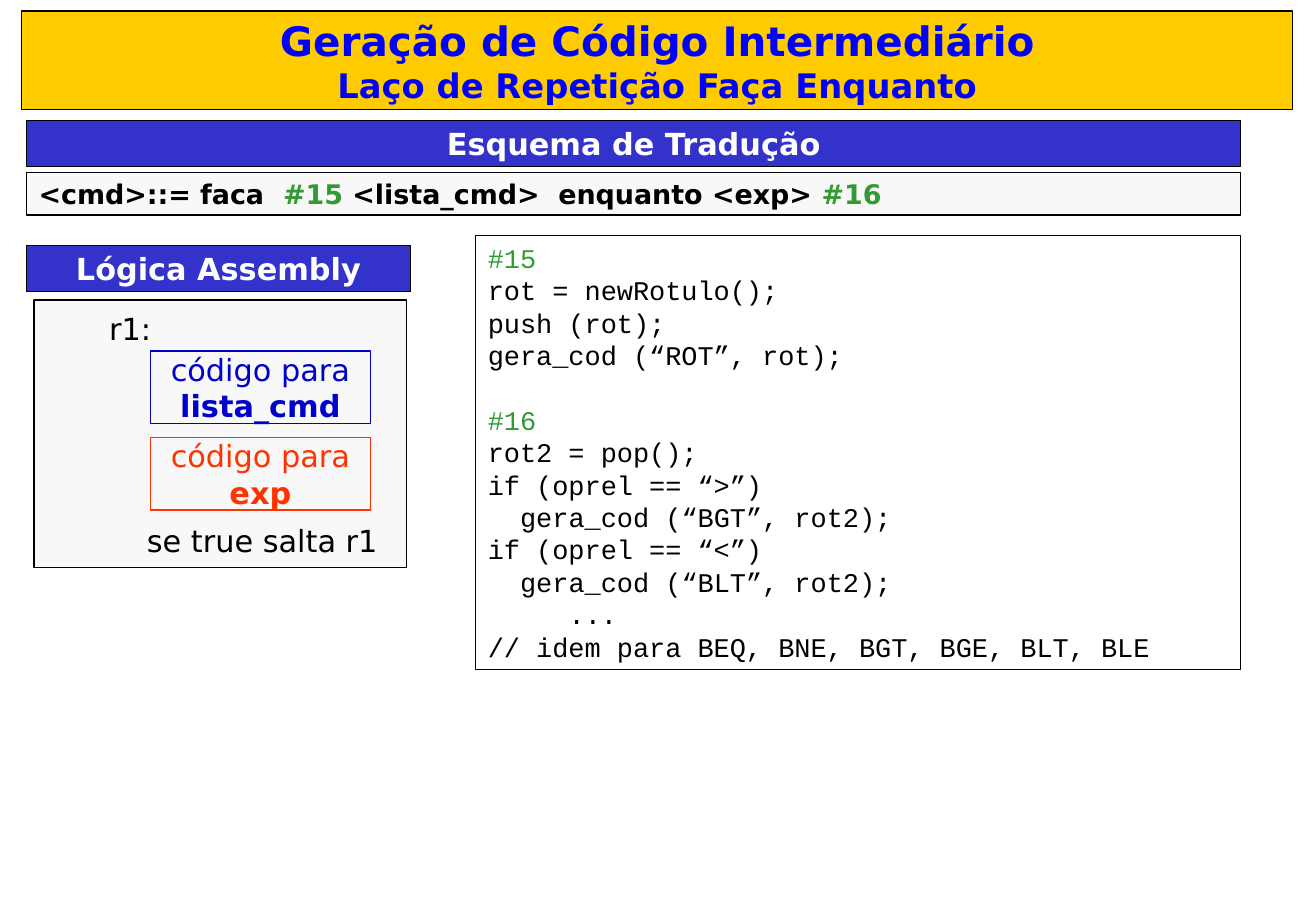
from pptx import Presentation
from pptx.dml.color import RGBColor
from pptx.enum import shapes, text
from pptx.util import Inches, Pt

BLACK = RGBColor(0, 0, 0)
WHITE = RGBColor(255, 255, 255)
GOLD = RGBColor(0xFF, 0xCC, 0)
TITLE = RGBColor(0, 0, 0xFF)
INDIGO = RGBColor(0x33, 0x33, 0xCC)
PALE = RGBColor(0xF8, 0xF8, 0xF8)
GREEN = RGBColor(0x33, 0x99, 0x33)
BLUE = RGBColor(0, 0, 0xCC)
RED = RGBColor(0xFF, 0x33, 0)
SANS, MONO = "DejaVu Sans", "Courier New"
CHAR = 9.6  # width in points of one 16 pt mono character
ROW = 19.2  # height in points of one code line

CODE = """#15
rot = newRotulo();
push (rot);
gera_cod (“ROT”, rot);
#16
rot2 = pop();
if (oprel == “>”)
  gera_cod (“BGT”, rot2);
if (oprel == “<”)
  gera_cod (“BLT”, rot2);
     ...
// idem para BEQ, BNE, BGT, BGE, BLT, BLE""".split("\n")


def setup(frame, pad):
    frame.word_wrap = True
    frame.vertical_anchor = text.MSO_ANCHOR.TOP
    frame.margin_left = frame.margin_right = Inches(pad[0])
    frame.margin_top = frame.margin_bottom = Inches(pad[1])


def panel(slide, box, fill=None, line=BLACK, pad=(0.1, 0.04)):
    rect = slide.shapes.add_shape(shapes.MSO_SHAPE.RECTANGLE, *map(Inches, box))
    rect.shadow.inherit = False
    if fill is None:
        rect.fill.background()
    else:
        rect.fill.solid()
        rect.fill.fore_color.rgb = fill
    rect.line.color.rgb = line
    rect.line.width = Pt(0.75)
    setup(rect.text_frame, pad)
    return rect.text_frame


def write(para, words, size, color, bold=False, face=SANS, center=True):
    para.text = words
    para.alignment = text.PP_ALIGN.CENTER if center else text.PP_ALIGN.LEFT
    font = para.font
    font.name, font.size, font.bold = face, Pt(size), bold
    font.color.rgb = color


def label(slide, box, words):
    frame = slide.shapes.add_textbox(*map(Inches, box)).text_frame
    setup(frame, (0.02, 0))
    write(frame.paragraphs[0], words, 18, BLACK, center=False)


def header(slide, box, words):
    frame = panel(slide, box, INDIGO)
    write(frame.paragraphs[0], words, 18, WHITE, True)


def banner(slide, box):
    frame = panel(slide, box, GOLD)
    write(frame.paragraphs[0], "Geração de Código Intermediário", 24, TITLE, True)
    write(frame.add_paragraph(), "Laço de Repetição Faça Enquanto", 20, TITLE, True)


def scheme(slide, box):
    x, y, w, h = box
    header(slide, (x, y, w, 0.38), "Esquema de Tradução")
    para = panel(slide, (x, y + 0.43, w, h - 0.43), PALE).paragraphs[0]
    write(para, "", 16, BLACK, True, center=False)
    # Grammar rule with its semantic actions in green
    for words, color in (("<cmd>::= faca  ", BLACK), ("#15", GREEN),
                         (" <lista_cmd>  enquanto <exp> ", BLACK), ("#16", GREEN)):
        run = para.add_run()
        run.text = words
        run.font.color.rgb = color


def logic(slide, box):
    x, y, w, h = box
    header(slide, (x, y, w, 0.38), "Lógica Assembly")
    panel(slide, (x + 0.06, y + 0.45, w - 0.09, h - 0.45), PALE)
    label(slide, (x + 0.66, y + 0.53, 1, 0.3), "r1:")
    # Code blocks, one below the other
    for i, (name, color) in enumerate((("lista_cmd", BLUE), ("exp", RED))):
        spot = (x + 1.02, y + 0.87 + 0.71 * i, 1.81, 0.6)
        para = panel(slide, spot, None, color, (0.02, 0)).paragraphs[0]
        write(para, "código para ", 18, color)
        run = para.add_run()
        run.text = name
        run.font.bold = True
    label(slide, (x + 0.97, y + 2.28, 2.35, 0.3), "se true salta r1")


def code(slide, box):
    frame = panel(slide, box, pad=(0.1, 0.05))
    for i, row in enumerate(CODE):
        para = frame.add_paragraph() if i else frame.paragraphs[0]
        words = row.lstrip()
        mark = words.startswith("#")
        write(para, words, 16, GREEN if mark else BLACK, face=MONO, center=False)
        if mark and i:
            para.space_before = Pt(ROW)
        depth = len(row) - len(words)
        if depth:
            props = para._p.get_or_add_pPr()
            props.set("marL", str(int(Pt(CHAR * depth))))
            props.set("indent", "0")


def main():
    deck = Presentation()
    deck.slide_width, deck.slide_height = Inches(10.84), Inches(7.5)
    slide = deck.slides.add_slide(deck.slide_layouts[6])
    banner(slide, (0.18, 0.09, 10.47, 0.81))
    scheme(slide, (0.22, 0.99, 10, 0.78))
    logic(slide, (0.22, 2.02, 3.16, 2.65))
    code(slide, (3.92, 1.94, 6.3, 3.57))
    deck.save("out.pptx")


if __name__ == "__main__":
    main()
